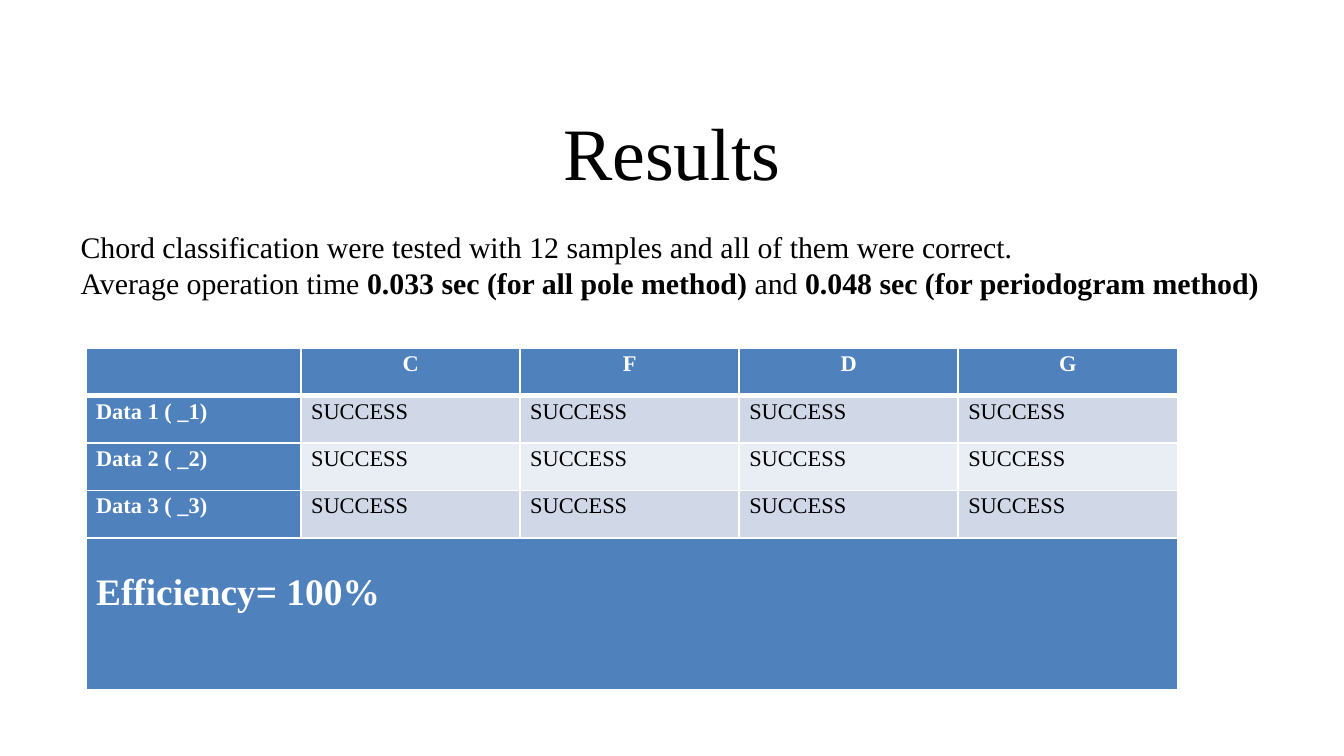
from lxml.etree import SubElement
from pptx import Presentation
from pptx.dml.color import RGBColor
from pptx.enum.text import MSO_ANCHOR, MSO_AUTO_SIZE, PP_ALIGN
from pptx.oxml.ns import qn
from pptx.util import Inches, Pt

FONT = "Times New Roman"
COLOURS = {"ink": "000000", "paper": "FFFFFF", "head": "4F81BD",
           "odd": "D0D8E8", "even": "E9EDF4"}
CHORDS = ["C", "F", "D", "G"]
SAMPLES = ["Data 1 ( _1)", "Data 2 ( _2)", "Data 3 ( _3)"]
FINDINGS = [
    [("Chord classification were tested with 12 samples and all of them were correct.", False)],
    [("Average operation time ", False), ("0.033 sec (for all pole method)", True),
     (" and ", False), ("0.048 sec (for periodogram method) ", True)],
]


def colour(name):
    """Look up a named colour."""
    return RGBColor.from_string(COLOURS[name])


def style(para, size, ink="ink", bold=None):
    """Set the font of a whole paragraph."""
    font = para.font
    font.name, font.size, font.bold = FONT, Pt(size), bold
    font.color.rgb = colour(ink)


def place(shape, box):
    """Move a placeholder to a box of left, top, width and height in inches."""
    shape.left, shape.top, shape.width, shape.height = map(Inches, box)
    shape.text_frame.word_wrap = True
    shape.text_frame.auto_size = MSO_AUTO_SIZE.NONE


def add_title(page, box, text):
    """Fill the title placeholder."""
    title = page.shapes.title
    place(title, box)
    title.text_frame.vertical_anchor = MSO_ANCHOR.MIDDLE
    para = title.text_frame.paragraphs[0]
    para.text, para.alignment = text, PP_ALIGN.CENTER
    style(para, 39.6)


def add_findings(page, box, findings):
    """Fill the body placeholder with unbulleted lines of plain and bold spans."""
    body = page.placeholders[1]
    place(body, box)
    frame = body.text_frame
    for index, spans in enumerate(findings):
        para = frame.add_paragraph() if index else frame.paragraphs[0]
        style(para, 16)
        para.space_before = Pt(0)
        props = para._p.get_or_add_pPr()
        props.set("marL", "0")
        props.set("indent", "0")
        props.insert_element_before(props.makeelement(qn("a:buNone"), {}), "a:defRPr")
        for text, bold in spans:
            span = para.add_run()
            span.text, span.font.bold = text, bold


def set_borders(cell, top=1, bottom=1):
    """Draw white lines around a cell, with widths in points."""
    props = cell._tc.get_or_add_tcPr()
    for side, width in (("L", 1), ("R", 1), ("T", top), ("B", bottom)):
        line = SubElement(props, qn(f"a:ln{side}"), w=str(Pt(width)))
        fill = SubElement(line, qn("a:solidFill"))
        SubElement(fill, qn("a:srgbClr"), val=COLOURS["paper"])


def fill_cell(cell, text, fill, size=12, centred=False, top=1, bottom=1):
    """Write one cell; blue cells carry bold white text."""
    heading = fill == "head"
    set_borders(cell, top, bottom)
    cell.fill.solid()
    cell.fill.fore_color.rgb = colour(fill)
    cell.margin_left = cell.margin_right = Pt(5.4)
    cell.margin_top = cell.margin_bottom = 0
    para = cell.text_frame.paragraphs[0]
    para.text, para.line_spacing = text, 1.15
    para.alignment = PP_ALIGN.CENTER if centred else PP_ALIGN.LEFT
    style(para, size, "paper" if heading else "ink", heading)


def add_results(page, box):
    """Build the table of chords by samples, closed by a merged summary row."""
    count, width = len(SAMPLES) + 2, len(CHORDS) + 1
    row_height = Pt(25.4)
    table = page.shapes.add_table(count, width, *map(Inches, box)).table
    for index, column in enumerate(table.columns):
        column.width = Inches(1.63 if index else 1.6)
    for row in table.rows:
        row.height = row_height
    table.rows[count - 1].height = Inches(box[3]) - row_height * (count - 1)

    for index, text in enumerate([""] + CHORDS):
        fill_cell(table.cell(0, index), text, "head", centred=True, bottom=3)
    for row, sample in enumerate(SAMPLES, 1):
        band = "odd" if row % 2 else "even"
        for index, text in enumerate([sample] + ["SUCCESS"] * len(CHORDS)):
            fill_cell(table.cell(row, index), text, band if index else "head",
                      top=3 if row == 1 else 1)
    summary = table.cell(count - 1, 0)
    summary.merge(table.cell(count - 1, width - 1))
    fill_cell(summary, "Efficiency= 100%", "head", size=20)
    summary.margin_top = Inches(0.21)


deck = Presentation()
deck.slide_width = Inches(10)
deck.slide_height = deck.slide_width * 9 // 16
page = deck.slides.add_slide(deck.slide_layouts[1])
add_title(page, (0.5, 0.77, 9, 0.7), "Results")
add_findings(page, (0.5, 1.65, 9, 3.38), FINDINGS)
add_results(page, (0.64, 2.59, 8.12, 2.54))
deck.save("out.pptx")
